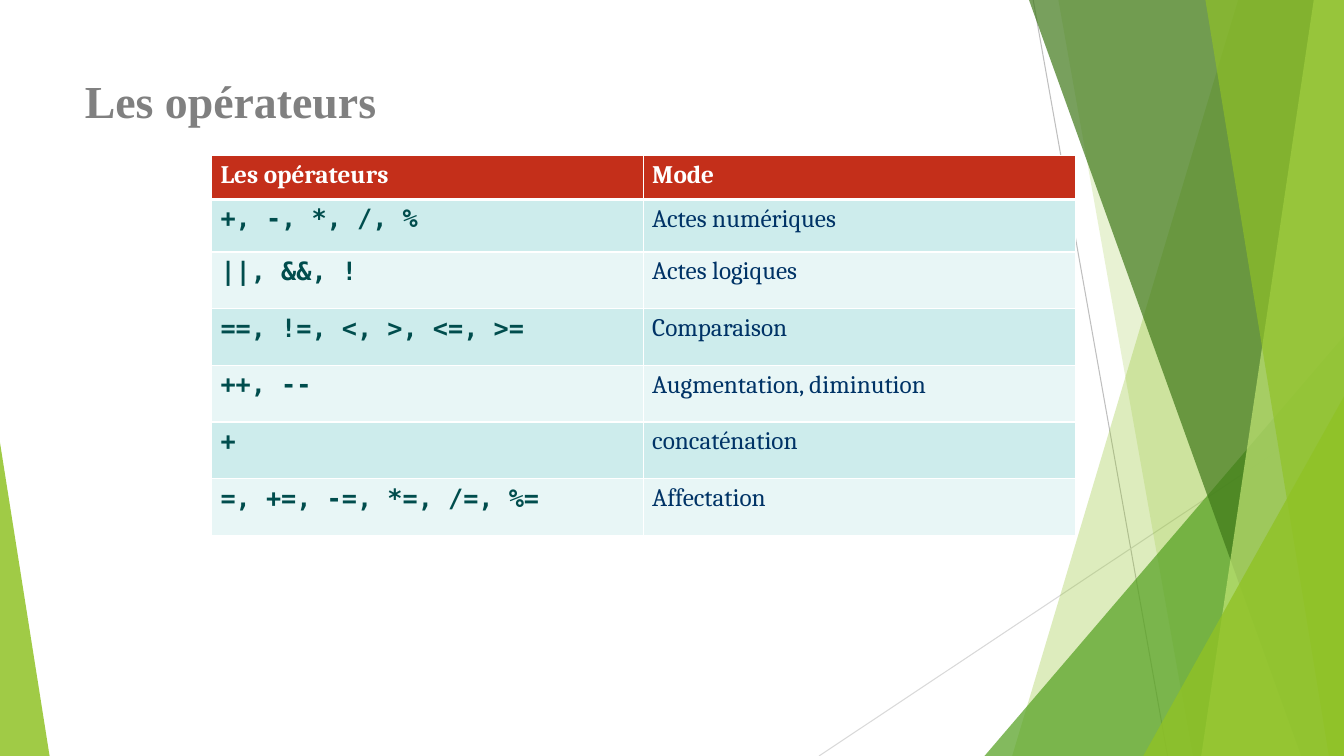
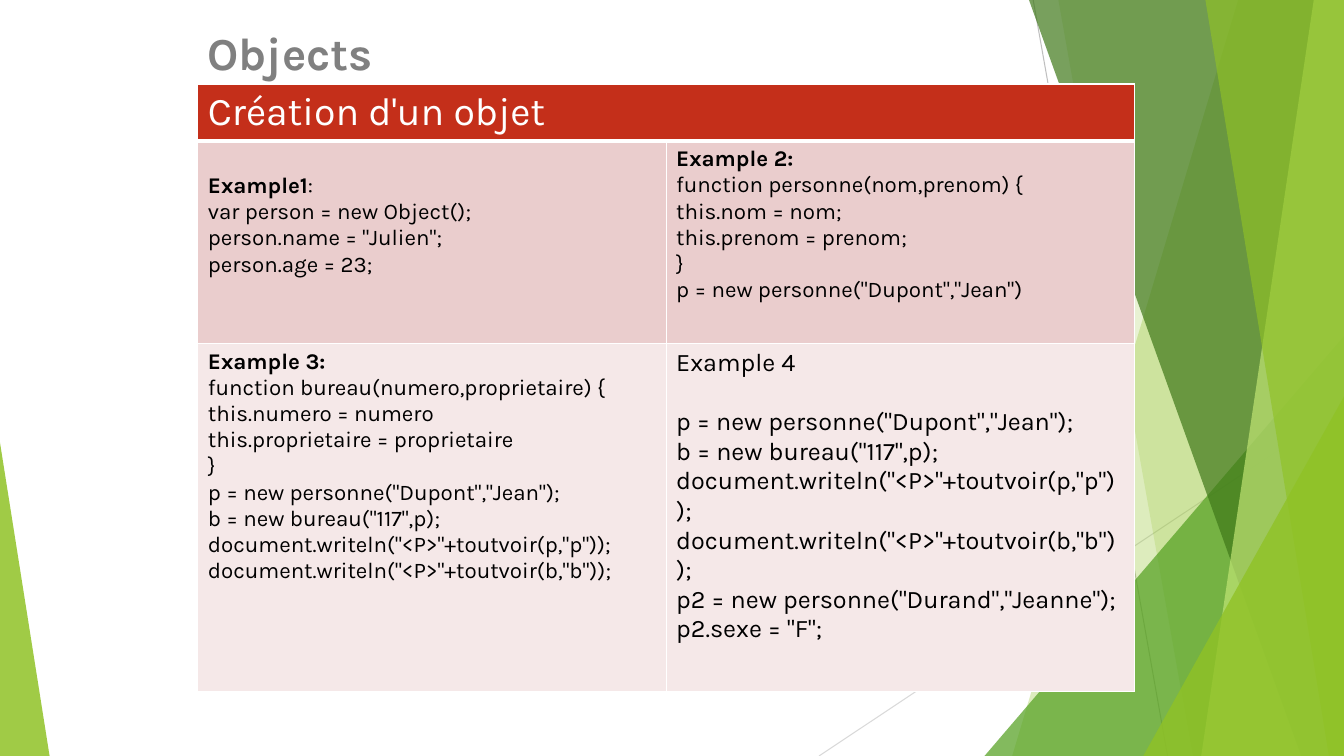
from lxml import etree
from pptx import Presentation
from pptx import util as u
from pptx.dml.color import RGBColor
from pptx.enum import shapes, text
from pptx.oxml.ns import qn

COLORS = {
    "title": "808080", "white": "FFFFFF", "black": "000000", "header": "C42F1A",
    "operator": "004D4D", "mode": "003366",
    "teal": "CDECEC", "pale teal": "E8F6F6", "rose": "EACDCD", "pale rose": "F5E8E8",
    "lime": "90C226", "light lime": "C0E474", "green": "54A021", "dark green": "3F7819",
    "ray": "BFBFBF", "pale ray": "D9D9D9",
}
COLUMNS, ROWS = 160, 90  # square grid cells covering the slide

# Background rays: start column and row, end column and row, colour
RAYS = [(123, 0, 139, 90, "ray"), (160, 48.4, 97.5, 90, "pale ray")]
# Wedges reach the right edge: top column, bottom column, colour, opacity
# Peaks are triangles: left, top, width, apex, colour, opacity
FACETS = [
    ("wedge", 147.4, 120.5, "lime", 30),
    ("wedge", 126, 142, "lime", 20),
    ("peak", 117.2, 40, 42.8, 1, "green", 72),
    ("wedge", 122.5, 154.9, "dark green", 70),
    ("wedge", 156.4, 143, "light lime", 70),
    ("wedge", 143.5, 158.2, "lime", 65),
    ("peak", 136.1, 47.2, 23.9, 1, "lime", 80),
    ("peak", 0, 52.7, 5.9, 0, "lime", 85),
]


def rgb(name):
    return RGBColor.from_string(COLORS[name])


class Deck:
    """Holds the shared style and the slide being built."""

    def __init__(self):
        self.prs = Presentation()
        self.prs.slide_width, self.prs.slide_height = u.Inches(13.33), u.Inches(7.5)
        self.layout = self.prs.slide_layouts[5]
        self.slide = None

    def col(self, n):
        return u.Emu(round(n * self.prs.slide_width / COLUMNS))

    def row(self, n):
        return u.Emu(round(n * self.prs.slide_height / ROWS))

    def add_slide(self, title, font, left, top, width, height):
        self.slide = self.prs.slides.add_slide(self.layout)
        if len(self.prs.slides) == 1:
            self.decorate_layout()
        heading = self.slide.shapes.title
        heading.left, heading.top = self.col(left), self.row(top)
        heading.width, heading.height = self.col(width), self.row(height)
        frame = heading.text_frame
        self.set_text(frame, [title], 32.7, font, "title", bold=True)
        frame.word_wrap = True
        frame.auto_size = text.MSO_AUTO_SIZE.NONE
        frame.vertical_anchor = text.MSO_ANCHOR.TOP

    # Background, drawn once and moved into the shared layout
    def decorate_layout(self):
        backdrop = self.slide.shapes.add_group_shape()
        for ray in RAYS:
            self.ray(backdrop.shapes, *ray)
        for kind, *geometry in FACETS:
            draw = self.wedge if kind == "wedge" else self.peak
            draw(backdrop.shapes, *geometry)
        for number, props in enumerate(backdrop.element.xpath(".//p:cNvPr"), 100):
            props.set("id", str(number))
        self.layout.shapes.element.insert(2, backdrop.element)

    def ray(self, target, x1, y1, x2, y2, color):
        ray = target.add_connector(shapes.MSO_CONNECTOR.STRAIGHT, self.col(x1),
                                   self.row(y1), self.col(x2), self.row(y2))
        ray.line.color.rgb = rgb(color)
        ray.line.width = u.Pt(0.75)
        etree.SubElement(ray.element.spPr, qn("a:effectLst"))

    def wedge(self, target, top, bottom, color, opacity):
        outline = target.build_freeform(self.col(top), 0)
        outline.add_line_segments([
            (self.col(COLUMNS), 0), (self.col(COLUMNS), self.row(ROWS)),
            (self.col(bottom), self.row(ROWS))], close=True)
        self.tint(outline.convert_to_shape(), color, opacity)

    def peak(self, target, left, top, width, apex, color, opacity):
        peak = target.add_shape(shapes.MSO_SHAPE.ISOSCELES_TRIANGLE, self.col(left),
                                self.row(top), self.col(width), self.row(ROWS - top))
        peak.adjustments[0] = apex
        self.tint(peak, color, opacity)

    def tint(self, facet, color, opacity):
        facet.shadow.inherit = False
        facet.line.fill.background()
        facet.fill.solid()
        facet.fill.fore_color.rgb = rgb(color)
        shade = facet.element.xpath("./p:spPr/a:solidFill/a:srgbClr")[0]
        etree.SubElement(shade, qn("a:alpha")).set("val", str(opacity * 1000))

    # Text and tables
    def set_text(self, frame, lines, size, font, color, bold=False, lead=""):
        """Set paragraphs; lead is the bold start of the first one."""
        frame.text = "\n".join(lines)
        first = frame.paragraphs[0]
        if lead:
            first.runs[0].text = lead
            rest = lines[0][len(lead):]
            if rest:
                first.add_run().text = rest
        for paragraph in frame.paragraphs:
            paragraph.alignment = text.PP_ALIGN.LEFT
            for run in paragraph.runs:
                run.font.size, run.font.name = u.Pt(size), font
                run.font.color.rgb = rgb(color)
                run.font.bold = bold
        if lead:
            first.runs[0].font.bold = True

    def add_table(self, left, top, width, heights, columns=2):
        table = self.slide.shapes.add_table(
            len(heights), columns, self.col(left), self.row(top),
            self.col(width), self.row(sum(heights))).table
        table.first_row = table.horz_banding = False
        for column in table.columns:
            column.width = self.col(width / columns)
        for line, height in zip(table.rows, heights):
            line.height = self.row(height)
        return table

    def fill_cell(self, table, r, c, lines, fill, **style):
        cell = table.cell(r, c)
        self.set_text(cell.text_frame, lines, **style)
        cell.fill.solid()
        cell.fill.fore_color.rgb = rgb(fill)
        self.border(cell, top=3 if r == 1 else 1, bottom=3 if r == 0 else 1)
        return cell

    def border(self, cell, top, bottom):
        props = cell._tc.get_or_add_tcPr()
        for i, (side, width) in enumerate(zip("LRTB", (1, 1, top, bottom))):
            edge = etree.Element(qn("a:ln" + side), w=str(int(u.Pt(width))))
            paint = etree.SubElement(edge, qn("a:solidFill"))
            etree.SubElement(paint, qn("a:srgbClr")).set("val", COLORS["white"])
            props.insert(i, edge)


def operators_slide(deck):
    deck.add_slide("Les opérateurs", "Times New Roman", 8.9, 8, 112.8, 17.3)
    entries = [
        ("Les opérateurs", "Mode"),
        ("+, -, *, /, %", "Actes numériques"),
        ("||, &&, !", "Actes logiques"),
        ("==, !=, <, >, <=, >=", "Comparaison"),
        ("++, --", "Augmentation, diminution"),
        ("+", "concaténation"),
        ("=, +=, -=, *=, /=, %=", "Affectation"),
    ]
    header_style = dict(font="Cambria", color="white", bold=True)
    column_styles = [dict(font="DejaVu Sans Mono", color="operator", bold=True),
                     dict(font="Cambria", color="mode")]
    operators = deck.add_table(25.2, 18.5, 102.8, [5.25, 6.25] + [6.75] * 5)
    for r, entry in enumerate(entries):
        fill = "header" if r == 0 else ("pale teal", "teal")[r % 2]
        for c, label in enumerate(entry):
            style = column_styles[c] if r else header_style
            cell = deck.fill_cell(operators, r, c, [label], fill, size=18, **style)
            cell.margin_left = cell.margin_right = deck.col(1.05)


def objects_slide(deck):
    deck.add_slide("Objects", "Karla", 23.5, 2.3, 60, 7.8)
    person = 'p = new personne("Dupont","Jean")'
    usage = [person + ";", 'b = new bureau("117",p);',
             'document.writeln("<P>"+toutvoir(p,"p"));',
             'document.writeln("<P>"+toutvoir(b,"b"));']
    # Row, column, bold lead, size, lines
    examples = [
        (1, 0, "Example1", 16,
         ["Example1:", "var person = new Object();", 'person.name = "Julien";',
          "person.age = 23;"]),
        (1, 1, "Example 2:", 16,
         ["Example 2:", "function personne(nom,prenom) {", "this.nom = nom;",
          "this.prenom = prenom;", "}", person]),
        (2, 0, "Example 3:", 16,
         ["Example 3:", "function bureau(numero,proprietaire) {",
          "this.numero = numero", "this.proprietaire = proprietaire", "}", *usage]),
        (2, 1, "", 18,
         ["Example 4", *usage, 'p2 = new personne("Durand","Jeanne");',
          'p2.sexe = "F";']),
    ]
    creation = deck.add_table(23.55, 10, 111.5, [6.8, 24.1, 41.4])
    creation.cell(0, 0).merge(creation.cell(0, 1))
    deck.fill_cell(creation, 0, 0, ["Création d'un objet"], "header",
                   size=28, font="Karla", color="white")
    deck.border(creation.cell(0, 1), top=1, bottom=3)
    for r, c, lead, size, lines in examples:
        deck.fill_cell(creation, r, c, lines, ("rose", "pale rose")[r - 1],
                       size=size, font="Karla", color="black", lead=lead)
    # One line of space above the first example and under the last heading
    creation.cell(1, 0).margin_top = deck.row(3.8)
    creation.cell(2, 1).text_frame.paragraphs[0].space_after = u.Pt(21)


def main():
    deck = Deck()
    operators_slide(deck)
    objects_slide(deck)
    deck.prs.save("out.pptx")


if __name__ == "__main__":
    main()
